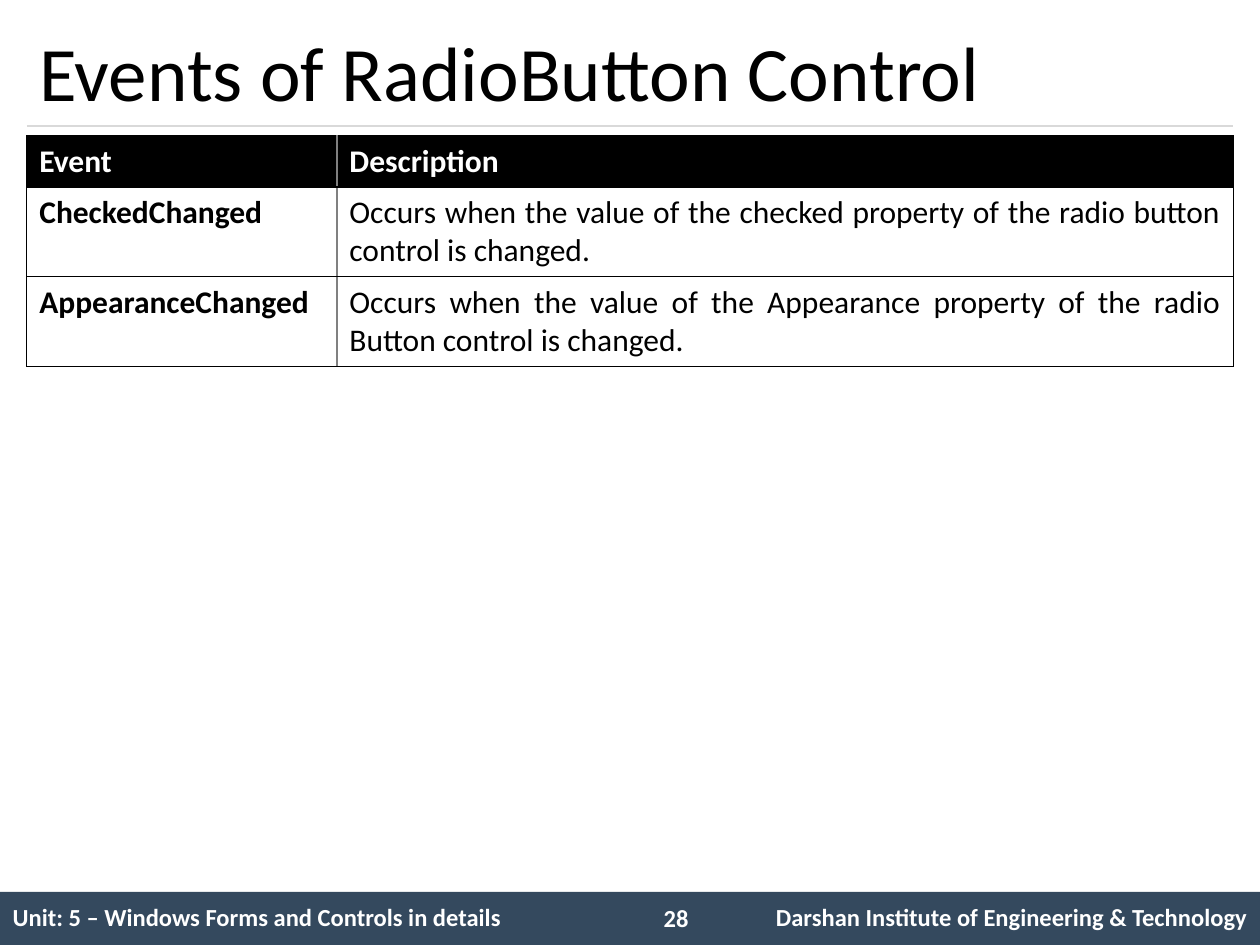
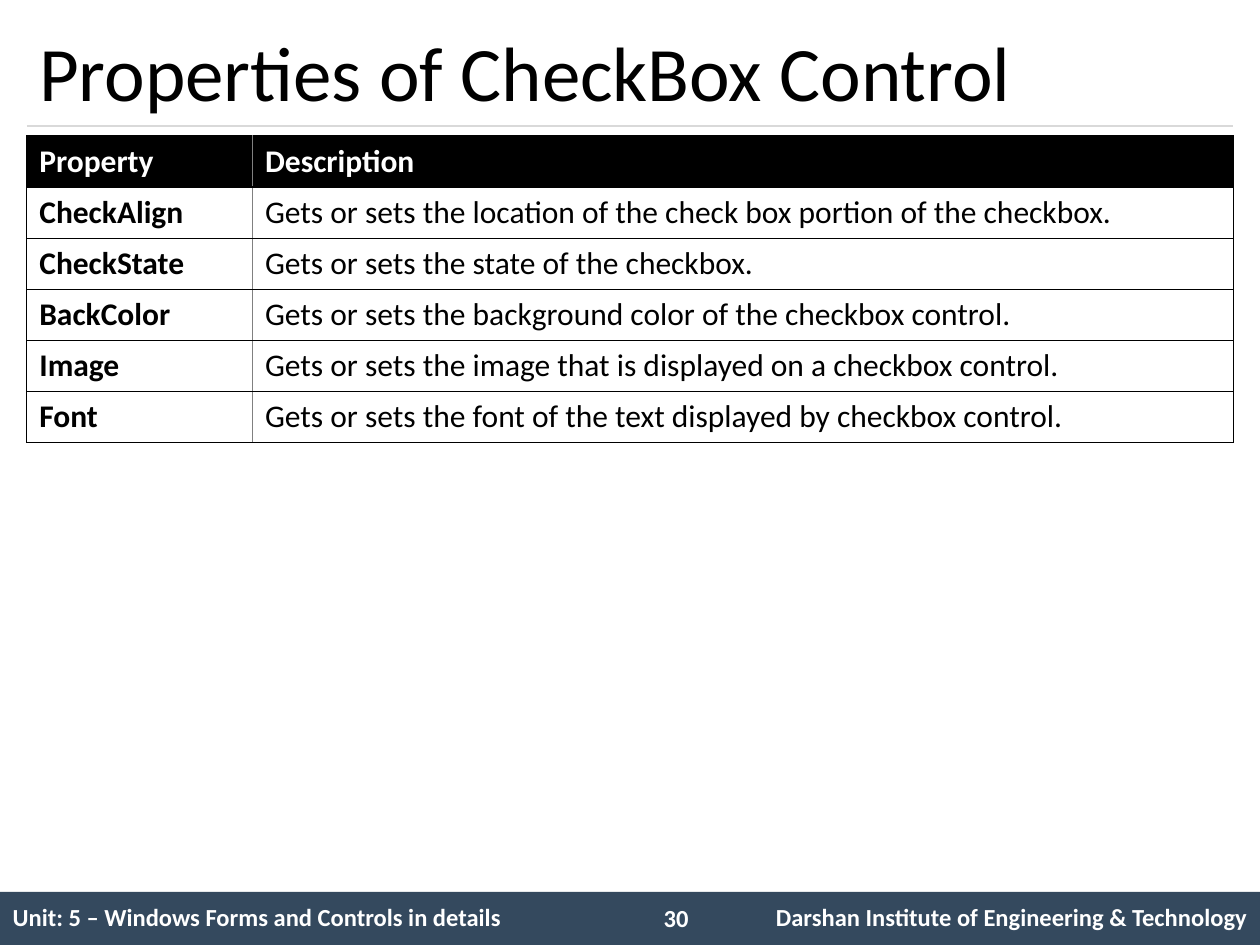
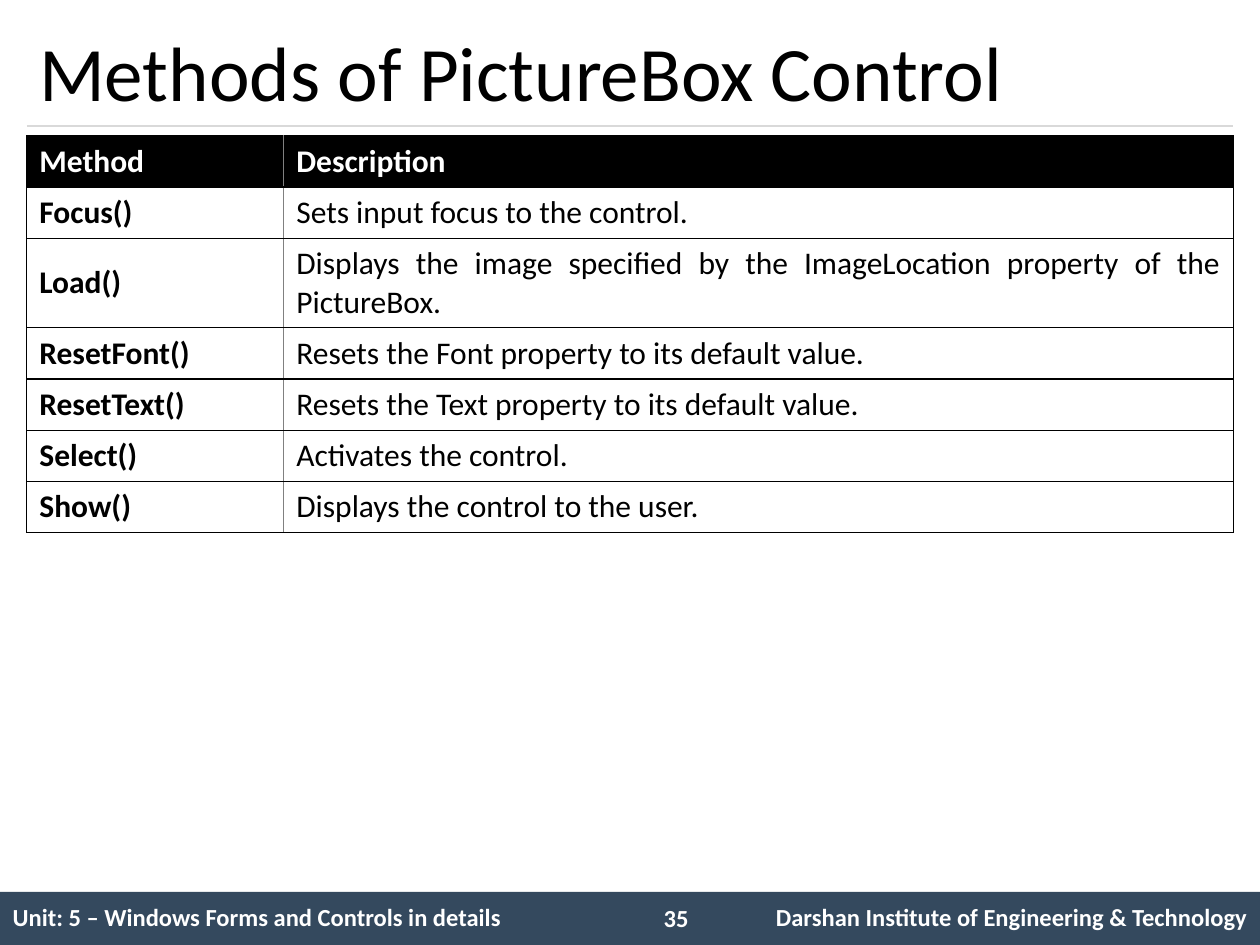
"""Builds three slides on form controls, each with a title, a table and a footer."""
from lxml import etree
from pptx import Presentation
from pptx import util as u
from pptx.dml.color import RGBColor
from pptx.enum import shapes, text
from pptx.oxml import ns

FONT = "Calibri"
INK = {"black": "000000", "white": "FFFFFF", "navy": "34495E",
       "rule": "D9D9D9", "grey": "808080"}
UNIT = "Unit: 5 – Windows Forms and Controls in details"
SCHOOL = "Darshan Institute of Engineering & Technology"

PAGES = [
    {"title": "Events of RadioButton Control", "page": 28, "split": 6.25, "anchor": "TOP",
     "rows": [
         ("Event", "Description"),
         ("CheckedChanged", "Occurs when the value of the checked property "
                            "of the radio button control is changed."),
         ("AppearanceChanged", "Occurs when the value of the Appearance property "
                               "of the radio Button control is changed."),
     ]},
    {"title": "Properties of CheckBox Control", "page": 30, "split": 4.55, "anchor": "TOP",
     "rows": [
         ("Property", "Description"),
         ("CheckAlign", "Gets or sets the location of the check box portion of the checkbox."),
         ("CheckState", "Gets or sets the state of the checkbox."),
         ("BackColor", "Gets or sets the background color of the checkbox control."),
         ("Image", "Gets or sets the image that is displayed on a checkbox control."),
         ("Font", "Gets or sets the font of the text displayed by checkbox control."),
     ]},
    {"title": "Methods of PictureBox Control", "page": 35, "split": 5.18, "anchor": "MIDDLE",
     "rows": [
         ("Method", "Description"),
         ("Focus()", "Sets input focus to the control."),
         ("Load()", "Displays the image specified by the ImageLocation property "
                    "of the PictureBox."),
         ("ResetFont()", "Resets the Font property to its default value."),
         ("ResetText()", "Resets the Text property to its default value."),
         ("Select()", "Activates the control."),
         ("Show()", "Displays the control to the user."),
     ]},
]

WIDE, HIGH = 25.4, 19.05
EDGE = 0.54
SPAN = WIDE - 2 * EDGE
RULE = 2.54
TOP = 2.74
BAND = 17.98
ROW, TALL, FULL = 1.03, 1.81, 70
FOOT = (12.9, 1.7, 10.8)
PLAIN = "{2D5ABB26-0587-4C30-8999-92F81FD0307C}"


def tint(name):
    return RGBColor.from_string(INK[name])


def write(frame, words, size, ink, bold=False, align="LEFT"):
    para = frame.paragraphs[0]
    para.text = words
    para.alignment = getattr(text.PP_ALIGN, align)
    font = para.font
    font.name, font.size, font.bold = FONT, u.Pt(size), bold
    font.color.rgb = tint(ink)


def label(slide, box, words, size, ink, bold=False, anchor="TOP"):
    frame = slide.shapes.add_textbox(*map(u.Cm, box)).text_frame
    frame.word_wrap = True
    frame.vertical_anchor = getattr(text.MSO_ANCHOR, anchor)
    write(frame, words, size, ink, bold)


def grid(slide, left, top, cols, rows):
    table = slide.shapes.add_table(len(rows), len(cols), *map(
        u.Cm, (left, top, sum(cols), sum(rows)))).table
    table.first_row = table.horz_banding = False
    table._tbl.tblPr.find(ns.qn("a:tableStyleId")).text = PLAIN
    for col, wide in zip(table.columns, cols):
        col.width = u.Cm(wide)
    for row, high in zip(table.rows, rows):
        row.height = u.Cm(high)
    return table


def edge(cell, side, ink, width):
    line = etree.SubElement(cell._tc.get_or_add_tcPr(), ns.qn(f"a:ln{side}"),
                            w=str(u.Pt(width)))
    fill = etree.SubElement(line, ns.qn("a:solidFill"))
    etree.SubElement(fill, ns.qn("a:srgbClr"), val=INK[ink])


def base(slide, page):
    band = slide.shapes.add_shape(shapes.MSO_SHAPE.RECTANGLE, *map(
        u.Cm, (0, BAND, WIDE, HIGH - BAND)))
    band.shadow.inherit = False
    band.fill.solid()
    band.fill.fore_color.rgb = tint("navy")
    band.line.fill.background()
    rule = slide.shapes.add_connector(shapes.MSO_CONNECTOR.STRAIGHT, *map(
        u.Cm, (EDGE, RULE, WIDE - EDGE, RULE)))
    rule.line.color.rgb = tint("rule")
    rule.line.width = u.Pt(0.75)
    etree.SubElement(rule._element.spPr, ns.qn("a:effectLst"))
    foot = grid(slide, 0, BAND, FOOT, [HIGH - BAND])
    for col, words, align in ((0, UNIT, "LEFT"), (2, SCHOOL, "RIGHT")):
        cell = foot.cell(0, col)
        cell.vertical_anchor = text.MSO_ANCHOR.MIDDLE
        write(cell.text_frame, words, 14, "white", True, align)
    label(slide, (13.13, 18.08, 1.47, 0.86), str(page), 14, "white", True)


def chart(slide, rows, split, anchor):
    highs = [TALL if len(note) > FULL else ROW for _, note in rows]
    table = grid(slide, EDGE, TOP, (split, SPAN - split), highs)
    for r, row in enumerate(rows):
        head = r == 0
        for c, words in enumerate(row):
            cell = table.cell(r, c)
            for side in "LRTB":
                mid = side == "RL"[c]
                edge(cell, side, "grey" if mid else "black", 1 if mid else 0.75)
            cell.fill.solid()
            cell.fill.fore_color.rgb = tint("black" if head else "white")
            cell.vertical_anchor = getattr(text.MSO_ANCHOR, anchor)
            write(cell.text_frame, words, 18, "white" if head else "black",
                  head or c == 0, "JUSTIFY")


def main():
    deck = Presentation()
    deck.slide_width, deck.slide_height = u.Cm(WIDE), u.Cm(HIGH)
    for item in PAGES:
        slide = deck.slides.add_slide(deck.slide_layouts[6])
        base(slide, item["page"])
        label(slide, (EDGE, 0.3, SPAN, RULE - 0.3), item["title"], 44, "black",
              anchor="MIDDLE")
        chart(slide, item["rows"], item["split"], item["anchor"])
    deck.save("out.pptx")


if __name__ == "__main__":
    main()
